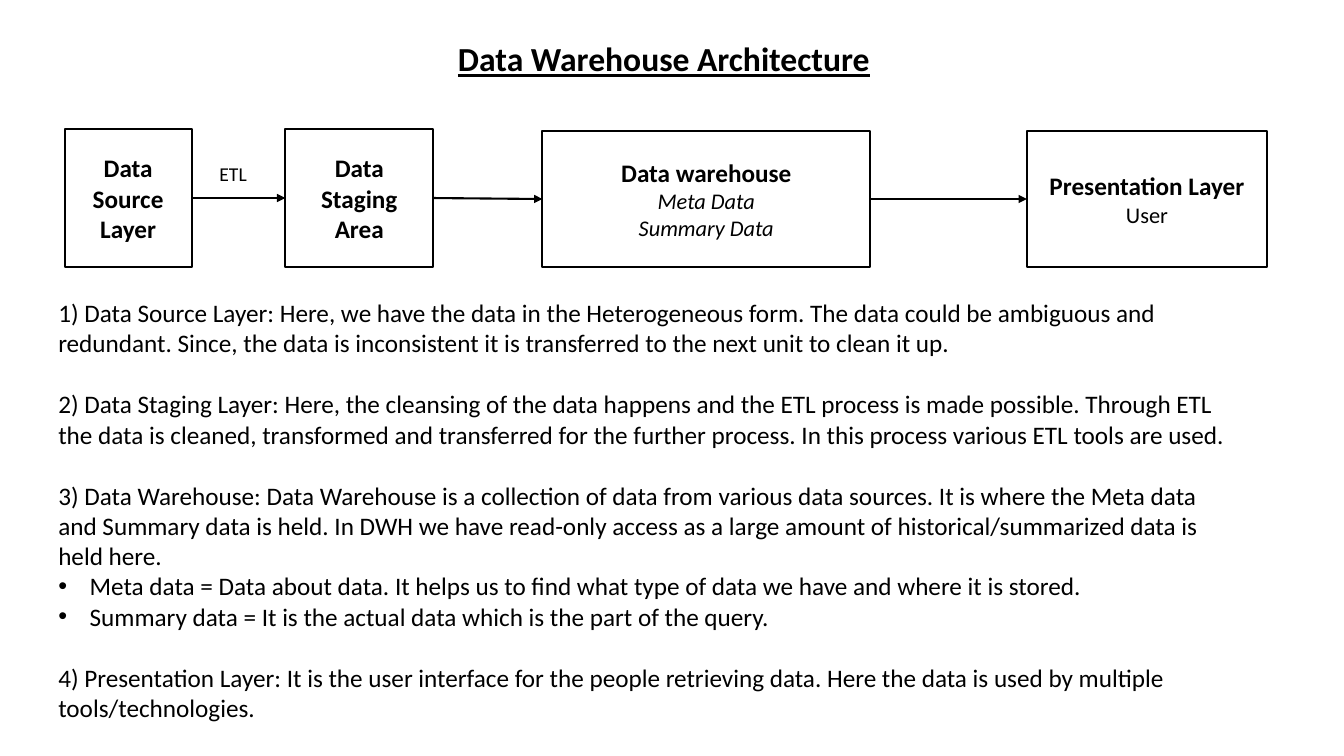
import dataclasses

import pptx
import pptx.dml.color
import pptx.enum.shapes
import pptx.enum.text
import pptx.oxml.ns
import pptx.util
from lxml import etree

Cm, Pt = pptx.util.Cm, pptx.util.Pt
ALIGN = pptx.enum.text.PP_ALIGN
ANCHOR = pptx.enum.text.MSO_ANCHOR
qn = pptx.oxml.ns.qn


@dataclasses.dataclass(frozen=True)
class Theme:
    font: str = "Calibri"
    ink: pptx.dml.color.RGBColor = pptx.dml.color.RGBColor(0, 0, 0)
    title: int = 24
    body: int = 18
    detail: int = 16
    label: int = 14
    line: float = 1.5
    section_gap: int = 22


THEME = Theme()

# Left, top, width, height in cm; heading, details, details in italics
STAGES = [
    ((1.63, 3.25, 3.2, 3.48), "Data Source Layer", [], False),
    ((7.19, 3.25, 3.73, 3.48), "Data Staging Area", [], False),
    ((13.67, 3.3, 8.26, 3.43), "Data warehouse", ["Meta Data", "Summary Data"], True),
    ((25.88, 3.3, 6.05, 3.43), "Presentation Layer", ["User"], False),
]

# Each section: its paragraph and its bullets
SECTIONS = [
    ("1) Data Source Layer: Here, we have the data in the Heterogeneous form. "
     "The data could be ambiguous and redundant. Since, the data is inconsistent "
     "it is transferred to the next unit to clean it up.", []),
    ("2) Data Staging Layer: Here, the cleansing of the data happens and the ETL "
     "process is made possible. Through ETL the data is cleaned, transformed and "
     "transferred for the further process. In this process various ETL tools are used.", []),
    ("3) Data Warehouse: Data Warehouse is a collection of data from various data "
     "sources. It is where the Meta data and Summary data is held. In DWH we have "
     "read-only access as a large amount of historical/summarized data is held here.",
     ["Meta data = Data about data. It helps us to find what type of data we have "
      "and where it is stored.",
      "Summary data = It is the actual data which is the part of the query."]),
    ("4) Presentation Layer: It is the user interface for the people retrieving data. "
     "Here the data is used by multiple tools/technologies.", []),
]


def write(frame, text, size, align=ALIGN.LEFT, bold=False, italic=False, underline=False):
    """Fill the frame's first paragraph, or add one when it is taken."""
    first = frame.paragraphs[0]
    paragraph = frame.add_paragraph() if first.runs else first
    paragraph.add_run().text = text
    paragraph.alignment = align
    font = paragraph.font
    font.name, font.size, font.color.rgb = THEME.font, Pt(size), THEME.ink
    font.bold, font.italic, font.underline = bold, italic, underline
    return paragraph


def add_bullet(paragraph):
    properties = paragraph._p.get_or_add_pPr()
    properties.set("marL", str(Cm(0.79)))
    properties.set("indent", str(-Cm(0.79)))
    bullet_font = etree.Element(qn("a:buFont"), typeface="Arial")
    bullet = etree.Element(qn("a:buChar"), char="•")
    # Bullet settings come before the default run properties
    for element in (bullet_font, bullet):
        properties.find(qn("a:defRPr")).addprevious(element)


def add_title(slide, text):
    title = slide.shapes.title
    title.left, title.top, title.width, title.height = map(Cm, (11.23, 0.84, 11, 1.27))
    frame = title.text_frame
    frame.word_wrap = False
    frame.vertical_anchor = ANCHOR.TOP
    write(frame, text, THEME.title, ALIGN.CENTER, bold=True, underline=True)


def add_stage(slide, place, heading, details, italic):
    stage = slide.shapes.add_shape(
        pptx.enum.shapes.MSO_SHAPE.RECTANGLE, *map(Cm, place))
    stage.shadow.inherit = False
    stage.fill.background()
    stage.line.color.rgb = THEME.ink
    stage.line.width = Pt(THEME.line)
    frame = stage.text_frame
    frame.vertical_anchor = ANCHOR.MIDDLE
    write(frame, heading, THEME.body, ALIGN.CENTER, bold=True)
    for detail in details:
        write(frame, detail, THEME.detail, ALIGN.CENTER, italic=italic)
    return stage


def add_flow(slide, source, target):
    """Arrow from the right side of one stage to the left side of the next."""
    flow = slide.shapes.add_connector(
        pptx.enum.shapes.MSO_CONNECTOR.STRAIGHT, 0, 0, 0, 0)
    flow.begin_connect(source, 3)
    flow.end_connect(target, 1)
    flow.line.color.rgb = THEME.ink
    flow.line.width = Pt(THEME.line)
    etree.SubElement(flow.line._get_or_add_ln(), qn("a:tailEnd"), type="triangle")
    etree.SubElement(flow._element.spPr, qn("a:effectLst"))


def add_text_area(slide, place, wrap):
    frame = slide.shapes.add_textbox(*map(Cm, place)).text_frame
    frame.word_wrap = wrap
    return frame


def add_explanation(slide):
    frame = add_text_area(slide, (1.22, 7.37, 30.3, 11.02), True)
    for index, (summary, points) in enumerate(SECTIONS):
        paragraph = write(frame, summary, THEME.body)
        if index:
            paragraph.space_before = Pt(THEME.section_gap)
        for point in points:
            add_bullet(write(frame, point, THEME.body))


def main():
    deck = pptx.Presentation()
    deck.slide_width, deck.slide_height = Cm(33.87), Cm(19.05)
    slide = deck.slides.add_slide(deck.slide_layouts[5])
    add_title(slide, "Data Warehouse Architecture")

    # Flow diagram
    stages = [add_stage(slide, *stage) for stage in STAGES]
    for source, target in zip(stages, stages[1:]):
        add_flow(slide, source, target)
    write(add_text_area(slide, (5.28, 3.96, 1.22, 0.86), False), "ETL", THEME.label)

    # Notes on each stage
    add_explanation(slide)
    deck.save("out.pptx")


if __name__ == "__main__":
    main()
